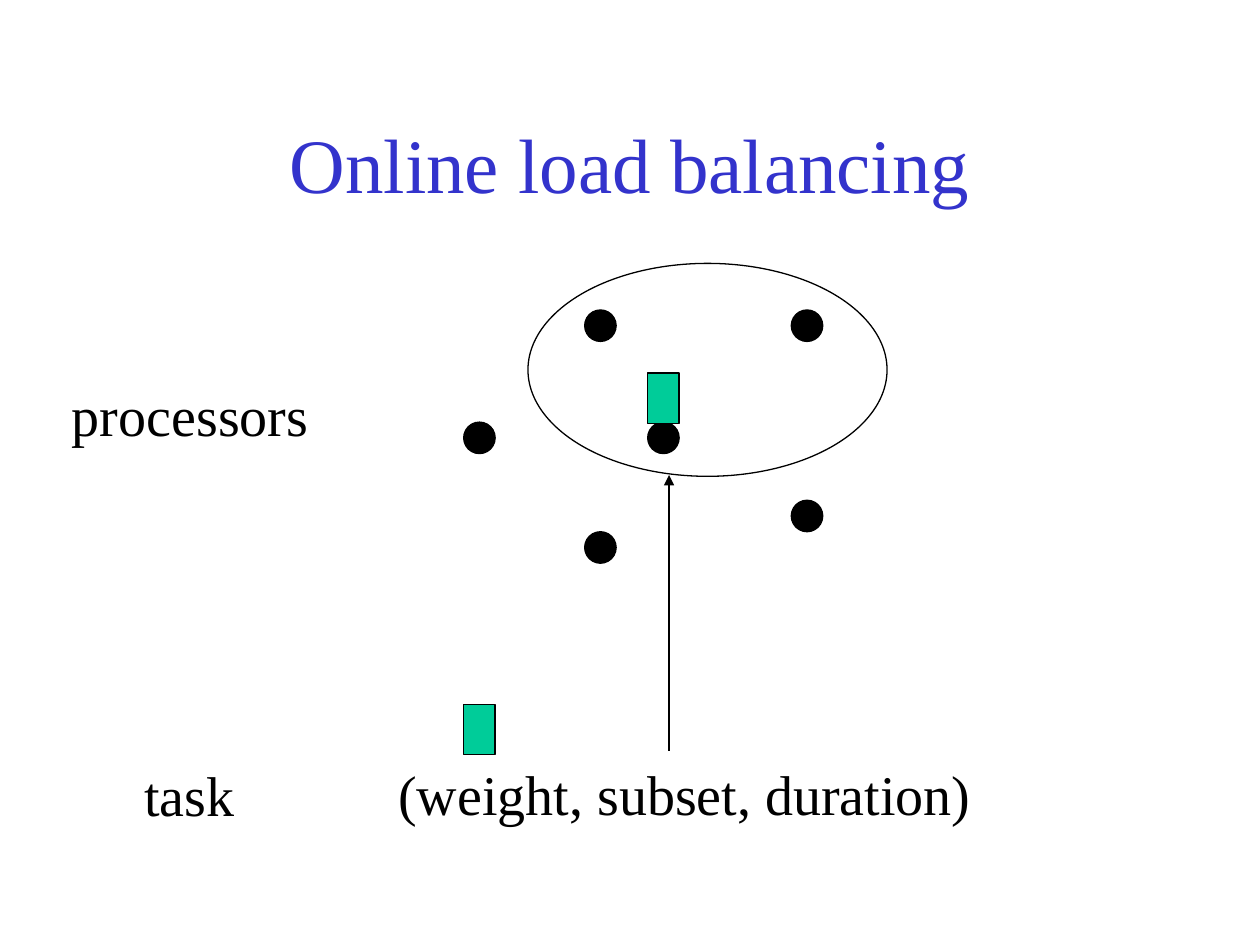
from pptx import Presentation
from pptx.dml.color import RGBColor
from pptx.enum.shapes import MSO_CONNECTOR, MSO_SHAPE
from pptx.enum.text import MSO_ANCHOR, MSO_AUTO_SIZE, PP_ALIGN
from pptx.oxml.ns import qn
from pptx.util import Inches, Pt
from lxml.etree import SubElement

FONT = "Times New Roman"
HUES = {"title": "3333CC", "ink": "000000", "task": "00CC99"}
TITLE = "Online load balancing"
GROUP = ("processors", (0.46, 2.97, 2.1, 0.64))
LABELS = [
    ("task", (1.03, 5.99, 0.95, 0.64)),
    ("(weight, subset, duration) ", (3.05, 5.98, 4.88, 0.64)),
]
DOT = 0.25
DOTS = [(3.68, 3.35), (4.64, 2.46), (6.28, 2.46),
        (4.64, 4.22), (5.14, 3.35), (6.28, 3.97)]
TASK = (0.25, 0.4)
TASKS = [(3.68, 5.59), (5.14, 2.96)]
SUBSET = (4.19, 2.09, 2.85, 1.69)
ARROW = (5.31, 5.96, 5.31, 3.77)


def color(name):
    return RGBColor.from_string(HUES[name])


def inches(box):
    return [Inches(n) for n in box]


def write(frame, text, size, hue):
    frame.margin_left = frame.margin_right = Inches(0.1)
    frame.margin_top = frame.margin_bottom = Inches(0.05)
    para = frame.paragraphs[0]
    para.alignment = PP_ALIGN.CENTER
    run = para.add_run()
    run.text = text
    run.font.name = FONT
    run.font.size = Pt(size)
    run.font.color.rgb = color(hue)


def label(shapes, text, box):
    frame = shapes.add_textbox(*inches(box)).text_frame
    frame.word_wrap = False
    frame.auto_size = MSO_AUTO_SIZE.SHAPE_TO_FIT_TEXT
    write(frame, text, 32, "ink")


def outline(line):
    line.color.rgb = color("ink")
    line.width = Pt(0.75)


def draw(shapes, kind, box, hue=None):
    shape = shapes.add_shape(kind, *inches(box))
    shape.shadow.inherit = False
    if hue:
        shape.fill.solid()
        shape.fill.fore_color.rgb = color(hue)
    else:
        shape.fill.background()
    outline(shape.line)


def arrow(shapes, ends):
    link = shapes.add_connector(MSO_CONNECTOR.STRAIGHT, *inches(ends))
    outline(link.line)
    props = link._element.spPr
    SubElement(props.find(qn("a:ln")), qn("a:tailEnd"), type="triangle")
    SubElement(props, qn("a:effectLst"))


def main():
    deck = Presentation()
    deck.slide_width, deck.slide_height = Inches(10), Inches(7.5)
    slide = deck.slides.add_slide(deck.slide_layouts[5])
    shapes = slide.shapes

    title = shapes.title
    title.left, title.top, title.width, title.height = inches((0.75, 0.67, 8.5, 1.25))
    title.text_frame.vertical_anchor = MSO_ANCHOR.MIDDLE
    write(title.text_frame, TITLE, 44, "title")

    nodes = shapes.add_group_shape().shapes
    for spot in DOTS:
        draw(nodes, MSO_SHAPE.OVAL, (*spot, DOT, DOT), "ink")
    label(nodes, *GROUP)

    for text, box in LABELS:
        label(shapes, text, box)
    for spot in TASKS:
        draw(shapes, MSO_SHAPE.RECTANGLE, (*spot, *TASK), "task")

    choice = shapes.add_group_shape().shapes
    arrow(choice, ARROW)
    draw(choice, MSO_SHAPE.OVAL, SUBSET)

    deck.save("out.pptx")


if __name__ == "__main__":
    main()
